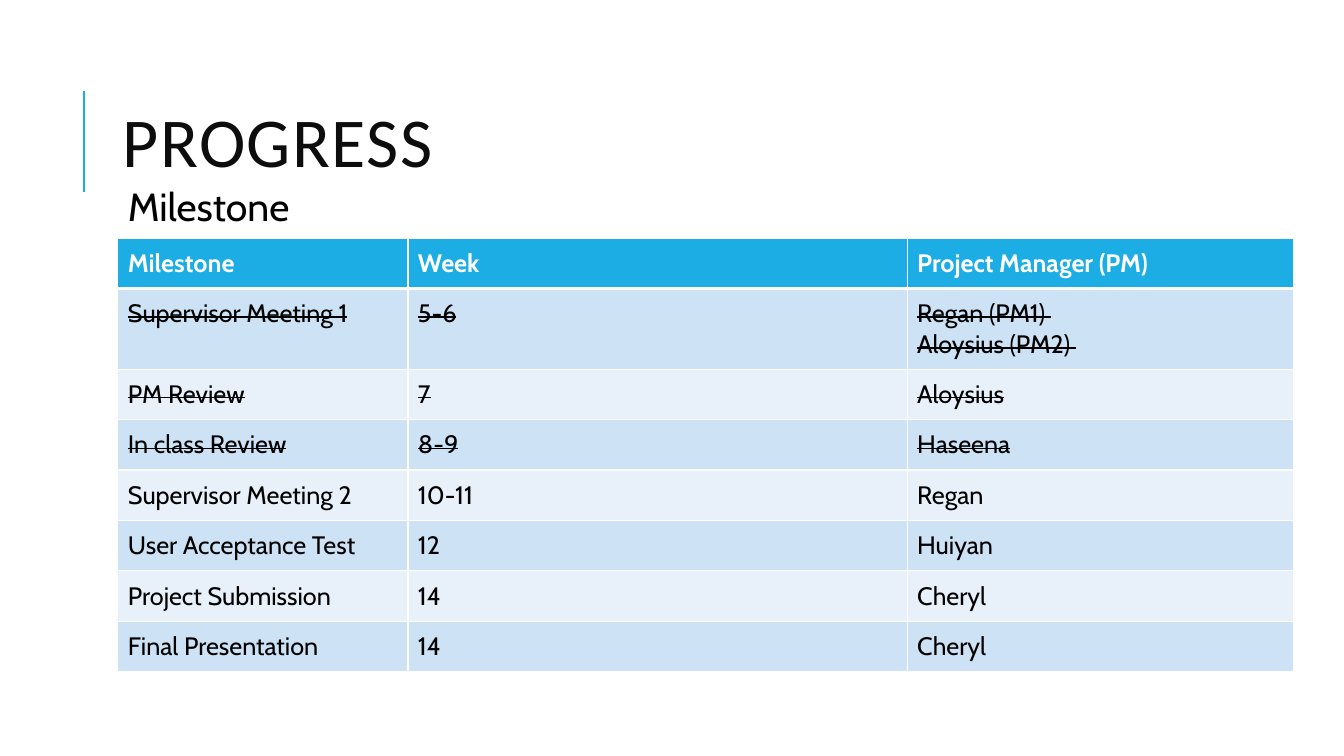
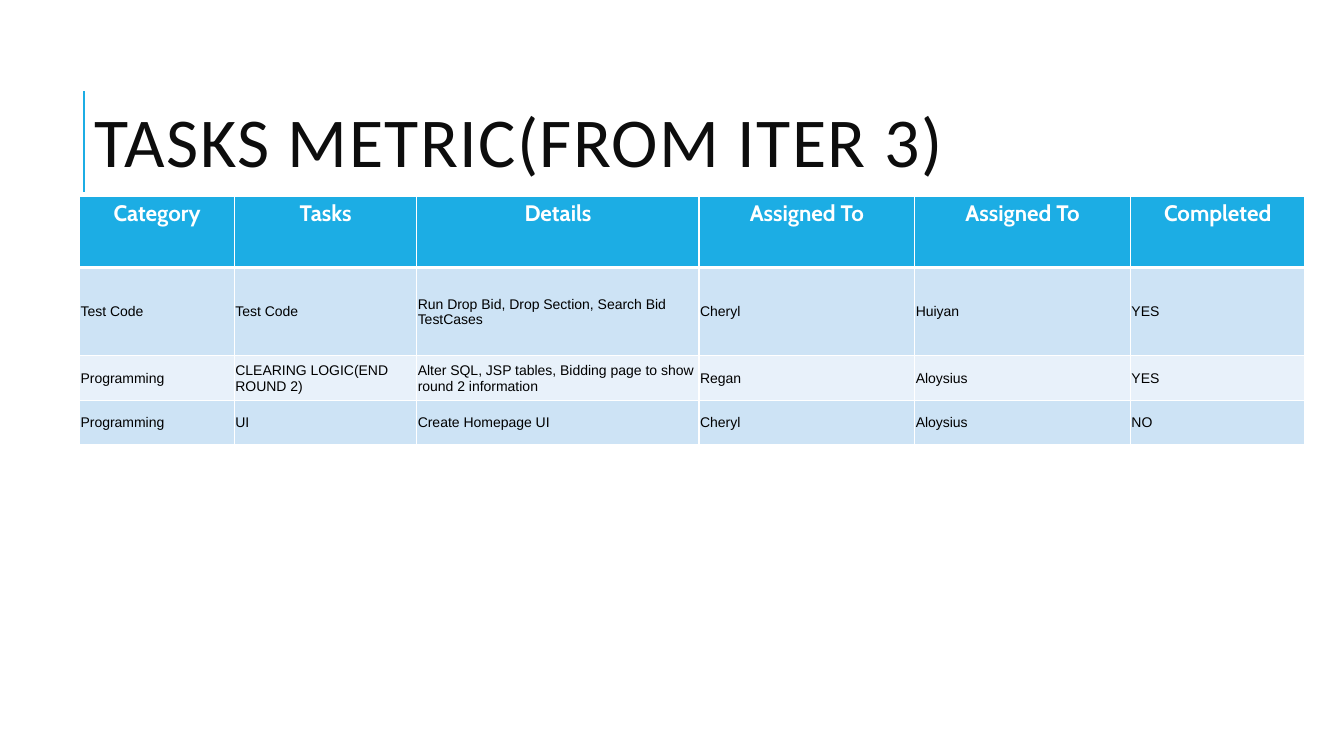
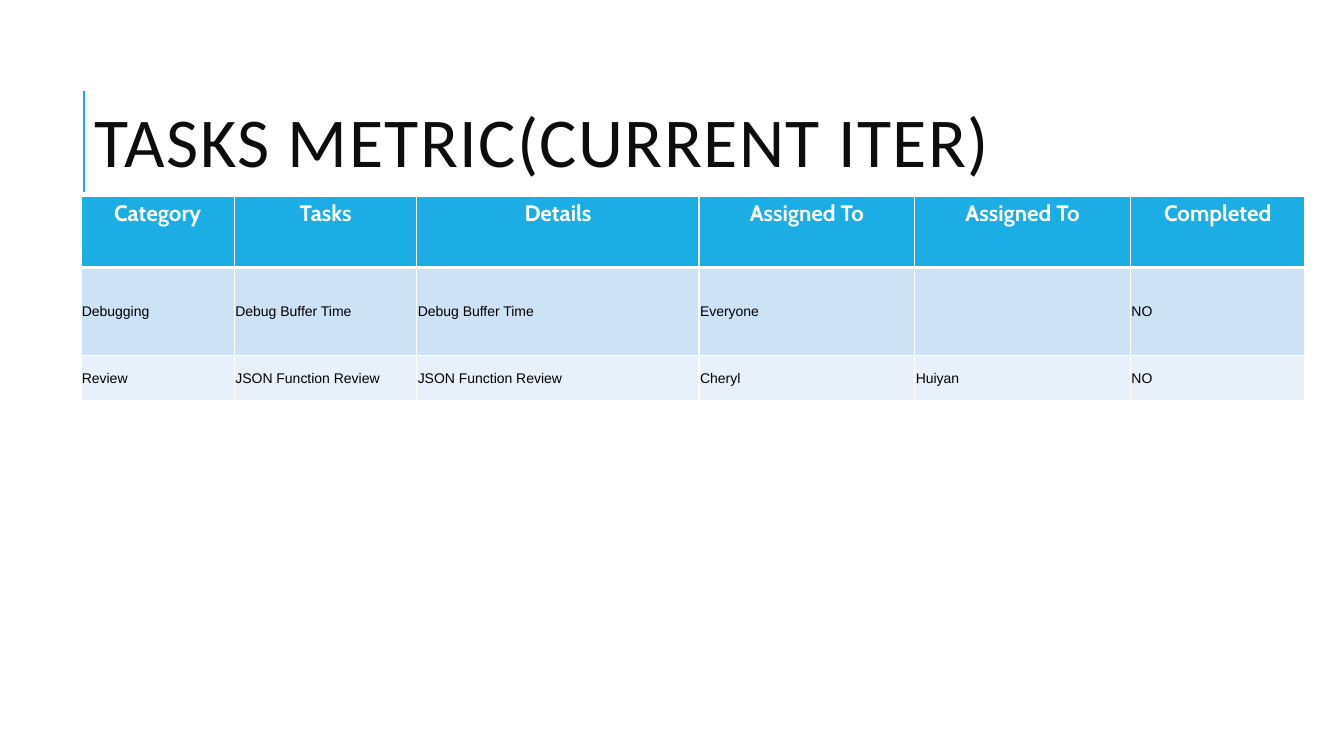
from lxml import etree
from pptx import Presentation
from pptx.dml.color import RGBColor
from pptx.enum import shapes, text
from pptx.oxml import ns
from pptx.util import Pt

HUES = {"accent": "1CADE4", "ink": "0D0D0D", "black": "000000",
        "white": "FFFFFF", "band": "CDE3F5", "pale": "E8F1FA"}
LEFT, MID = text.PP_ALIGN.LEFT, text.PP_ALIGN.CENTER
TOP, HALF = text.MSO_ANCHOR.TOP, text.MSO_ANCHOR.MIDDLE


def hue(name):
    return RGBColor.from_string(HUES[name])


def write(frame, words, font="Cabin", size=18, color="black", bold=False,
          strike=False, align=LEFT, lead=None, track=None):
    """Fill a text frame, one paragraph per line of words."""
    for i, line in enumerate(words.split("\n")):
        para = frame.add_paragraph() if i else frame.paragraphs[0]
        para.alignment = align
        if lead:
            para.line_spacing = lead
        run = para.add_run()
        run.text = line
        run.font.name, run.font.size = font, Pt(size)
        run.font.bold = bold
        run.font.color.rgb = hue(color)
        props = run._r.get_or_add_rPr()
        if strike:
            props.set("strike", "sngStrike")
        if track:
            props.set("spc", str(track * 100))


def edge(cell, widths):
    """Draw white cell borders; widths are left, right, top, bottom."""
    props = cell._tc.get_or_add_tcPr()
    for i, (side, width) in enumerate(zip("LRTB", widths)):
        line = etree.Element(ns.qn("a:ln" + side), w=str(Pt(width)))
        fill = etree.SubElement(line, ns.qn("a:solidFill"))
        etree.SubElement(fill, ns.qn("a:srgbClr"), val=HUES["white"])
        props.insert(i, line)


class Deck:
    def __init__(self):
        self.show = Presentation()
        self.show.slide_width, self.show.slide_height = Pt(960), Pt(540)
        self.page = None

    def start(self, words, left):
        """Add a slide with its title and the accent rule beside it."""
        self.page = self.show.slides.add_slide(self.show.slide_layouts[5])
        self.rule(60, 136.8, 64.8)
        title = self.page.shapes.title
        title.left, title.top = Pt(left), Pt(46)
        title.width, title.height = Pt(765.4), Pt(118)
        frame = title.text_frame
        frame.word_wrap = True
        frame.auto_size = text.MSO_AUTO_SIZE.NONE
        frame.vertical_anchor = HALF
        write(frame, words, font="Calibri", size=50, color="ink",
              lead=0.8, track=1)

    def rule(self, x, low, high):
        line = self.page.shapes.add_connector(
            shapes.MSO_CONNECTOR.STRAIGHT, Pt(x), Pt(low), Pt(x), Pt(high))
        line.line.color.rgb, line.line.width = hue("accent"), Pt(1.5)
        etree.SubElement(line._element.spPr, ns.qn("a:effectLst"))

    def label(self, words, left, top, width, height, **fmt):
        box = self.page.shapes.add_textbox(
            Pt(left), Pt(top), Pt(width), Pt(height))
        frame = box.text_frame
        frame.word_wrap = True
        frame.margin_left = Pt(10.8)
        frame.margin_top = frame.margin_right = frame.margin_bottom = Pt(3.6)
        write(frame, words, **fmt)

    def table(self, rows, left, top, cols, tall, pads, head, body,
              anchor=TOP, done=0):
        """Add a banded table; the first done body rows are struck out."""
        grid = self.page.shapes.add_table(
            len(rows), len(cols), Pt(left), Pt(top),
            Pt(sum(cols)), Pt(sum(tall))).table
        for col, width in zip(grid.columns, cols):
            col.width = Pt(width)
        for r, row in enumerate(rows):
            grid.rows[r].height = Pt(tall[r])
            shade = ("band" if r % 2 else "pale") if r else "accent"
            for c, words in enumerate(row):
                cell = grid.cell(r, c)
                cell.fill.solid()
                cell.fill.fore_color.rgb = hue(shade)
                edge(cell, (1, 1, 3 if r == 1 else 1, 1 if r else 3))
                (cell.margin_left, cell.margin_top, cell.margin_right,
                 cell.margin_bottom) = map(Pt, pads)
                cell.vertical_anchor = anchor if r else TOP
                if words:
                    write(cell.text_frame, words, strike=0 < r <= done,
                          **(body if r else head))

    def tasks(self, rows, left, first):
        """Add a task table whose first column has its own width."""
        names = ("Category", "Tasks", "Details", "Assigned To",
                 "Assigned To", "Completed")
        tall = [50.4, 63.2] + [31.7] * (len(rows) - 1)
        self.table([names] + rows, left, 140.6,
                   [first, 130.3, 201.6, 154.1, 154.1, 124.6], tall,
                   (0.7, 0.7, 0.7, 0),
                   dict(size=16, color="white", bold=True, align=MID,
                        lead=1.07),
                   dict(font="Arial", size=10), anchor=HALF)


deck = Deck()

# Milestones
deck.start("PROGRESS", 80.6)
deck.label("Milestone", 80.6, 130.3, 765.4, 336.2, size=28, lead=0.9)
plan = [
    ("Milestone", "Week", "Project Manager (PM)"),
    ("Supervisor Meeting 1", "5-6", "Regan (PM1) \nAloysius (PM2) "),
    ("PM Review", "7", "Aloysius"),
    ("In class Review", "8-9", "Haseena"),
    ("Supervisor Meeting 2", "10-11", "Regan"),
    ("User Acceptance Test", "12", "Huiyan"),
    ("Project Submission", "14", "Cheryl"),
    ("Final Presentation", "14", "Cheryl"),
]
deck.table(plan, 84.2, 170, [207.2, 356.6, 275.7], [33.8] * len(plan),
           [7.2] * 4, dict(color="white", bold=True), {}, done=3)

# Tasks of the third iteration
deck.start("TASKS METRIC(FROM ITER 3)", 60.5)
deck.tasks([
    ("Test Code", "Test Code",
     "Run Drop Bid, Drop Section, Search Bid TestCases",
     "Cheryl", "Huiyan", "YES"),
    ("Programming", "CLEARING LOGIC(END ROUND 2)",
     "Alter SQL, JSP tables, Bidding page to show round 2 information",
     "Regan", "Aloysius", "YES"),
    ("Programming", "UI", "Create Homepage UI", "Cheryl", "Aloysius", "NO"),
], 56.9, 110.6)

# Tasks of the current iteration
deck.start("TASKS METRIC(CURRENT ITER)", 60.5)
deck.tasks([
    ("Debugging", "Debug Buffer Time", "Debug Buffer Time", "Everyone", "",
     "NO"),
    ("Review", "JSON Function Review", "JSON Function Review", "Cheryl",
     "Huiyan", "NO"),
], 57.8, 109.7)

deck.show.save("out.pptx")
